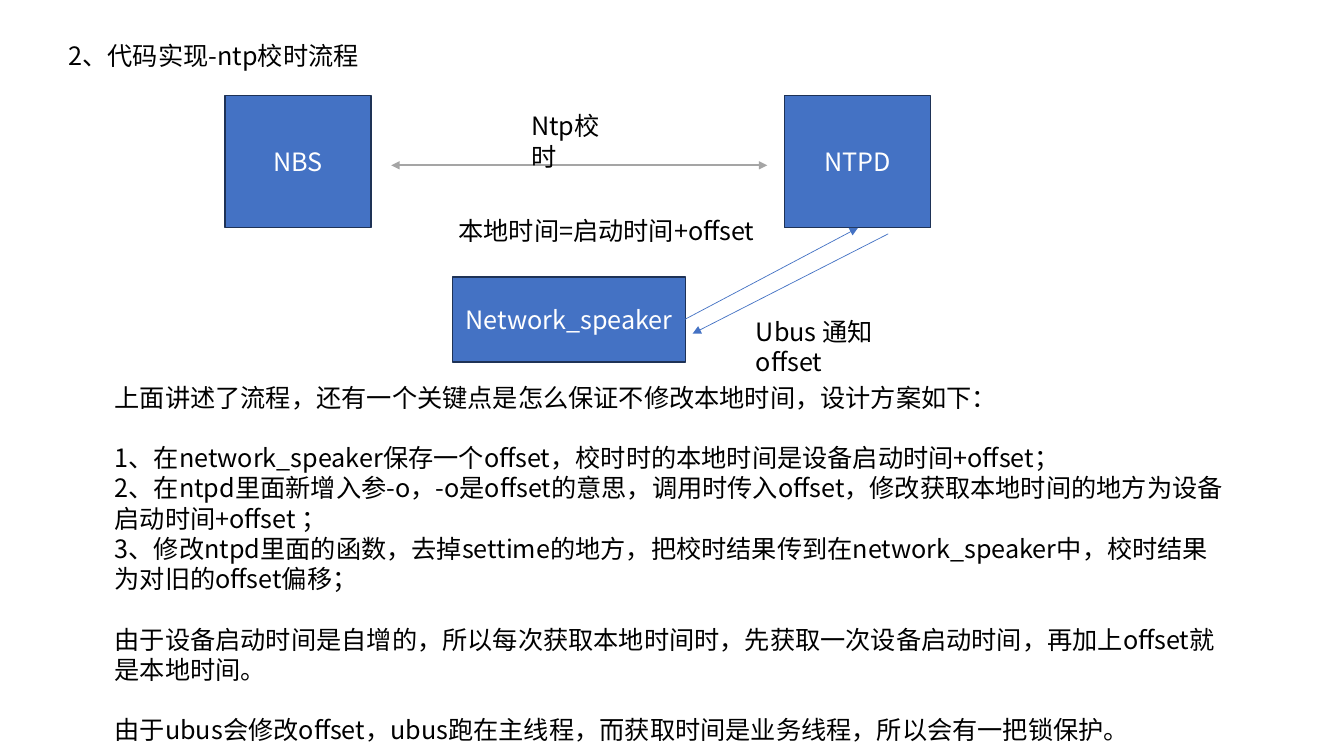
"""Build the slide on the NTP time synchronisation flow."""
from lxml import etree
from pptx import Presentation
from pptx import util as u
from pptx.dml.color import RGBColor
from pptx.enum import shapes, text
from pptx.oxml import ns

PX = 9144
FONT = "Noto Sans CJK SC"
SIZE = 18
LINE_HEIGHT = 21.6
BLACK = RGBColor(0x00, 0x00, 0x00)
WHITE = RGBColor(0xFF, 0xFF, 0xFF)
BLUE = RGBColor(0x44, 0x72, 0xC4)
NAVY = RGBColor(0x1E, 0x32, 0x56)
GRAY = RGBColor(0xA5, 0xA5, 0xA5)

TITLE = "2、代码实现-ntp校时流程"
BOXES = [
    ("NBS", 223, 95, 145, 131),
    ("NTPD", 778, 95, 145, 131),
    ("Network_speaker", 449, 275, 231, 84),
]
LABELS = [
    ("Ntp校时", 517, 105, 112, 40),
    ("Ubus 通知offset", 740, 309, 194, 40),
    ("本地时间=启动时间+offset", 445, 209, 316, 40),
]
NOTES = [
    ("上面讲述了流程，还有一个关键点是怎么保证不修改本地时间，设计方案如下：", True),
    ("1、在network_speaker保存一个offset，校时时的本地时间是设备启动时间+offset；", False),
    ("2、在ntpd里面新增入参-o，-o是offset的意思，调用时传入offset，"
     "修改获取本地时间的地方为设备启动时间+offset ；", False),
    ("3、修改ntpd里面的函数，去掉settime的地方，把校时结果传到在network_speaker中，"
     "校时结果为对旧的offset偏移；", True),
    ("由于设备启动时间是自增的，所以每次获取本地时间时，先获取一次设备启动时间，"
     "再加上offset就是本地时间。", True),
    ("由于ubus会修改offset，ubus跑在主线程，而获取时间是业务线程，所以会有一把锁保护。", False),
]


def px(*lengths):
    """Turn pixel lengths into EMU."""
    return [u.Emu(n * PX) for n in lengths]


def write(p, words, color=BLACK, align=text.PP_ALIGN.LEFT, gap=False):
    """Put formatted words into a paragraph."""
    p.alignment = align
    p.line_spacing = u.Pt(LINE_HEIGHT)
    p.space_before = u.Pt(0)
    p.space_after = u.Pt(LINE_HEIGHT if gap else 0)
    r = p.add_run()
    r.text = words
    r.font.size = u.Pt(SIZE)
    r.font.name = FONT
    r.font.color.rgb = color
    etree.SubElement(r._r.get_or_add_rPr(), ns.qn("a:ea"), typeface=FONT)


def add_title(s, words, *box):
    """Place and format the title placeholder."""
    sp = s.shapes.title
    sp.left, sp.top, sp.width, sp.height = px(*box)
    tf = sp.text_frame
    tf.word_wrap = True
    tf.auto_size = text.MSO_AUTO_SIZE.NONE
    tf.vertical_anchor = text.MSO_ANCHOR.TOP
    write(tf.paragraphs[0], words)


def add_text(s, paragraphs, *box):
    """Add a wrapped text box of (words, gap after) paragraphs."""
    tf = s.shapes.add_textbox(*px(*box)).text_frame
    tf.word_wrap = True
    for i, (words, gap) in enumerate(paragraphs):
        p = tf.add_paragraph() if i else tf.paragraphs[0]
        write(p, words, gap=gap)


def add_box(s, words, *box):
    """Add a blue process box."""
    sp = s.shapes.add_shape(shapes.MSO_SHAPE.RECTANGLE, *px(*box))
    sp.shadow.inherit = False
    sp.fill.solid()
    sp.fill.fore_color.rgb = BLUE
    sp.line.color.rgb = NAVY
    sp.line.width = u.Pt(1)
    tf = sp.text_frame
    tf.word_wrap = True
    tf.vertical_anchor = text.MSO_ANCHOR.MIDDLE
    write(tf.paragraphs[0], words, color=WHITE, align=text.PP_ALIGN.CENTER)


def add_arrow(s, *ends, color=BLUE, width=0.5, heads=("tailEnd",)):
    """Add a straight connector with triangle heads."""
    c = s.shapes.add_connector(shapes.MSO_CONNECTOR.STRAIGHT, *px(*ends))
    c.line.color.rgb = color
    c.line.width = u.Pt(width)
    spPr = c._element.spPr
    ln = spPr.find(ns.qn("a:ln"))
    for head in heads:
        etree.SubElement(ln, ns.qn(f"a:{head}"), type="triangle")
    etree.SubElement(spPr, ns.qn("a:effectLst"))


def main():
    """Build and save the slide."""
    prs = Presentation()
    prs.slide_width, prs.slide_height = px(1333, 750)
    s = prs.slides.add_slide(prs.slide_layouts.get_by_name("Title Only"))
    add_title(s, TITLE, 58, 35, 310, 40)
    add_text(s, NOTES, 104, 374, 1126, 374)
    for box in BOXES:
        add_box(s, *box)
    add_arrow(s, 388, 164, 761, 164, color=GRAY, width=1.5,
              heads=("headEnd", "tailEnd"))
    add_arrow(s, 679, 317, 851, 226)
    add_arrow(s, 881, 232, 687, 331)
    for words, *box in LABELS:
        add_text(s, [(words, False)], *box)
    prs.save("out.pptx")


if __name__ == "__main__":
    main()
